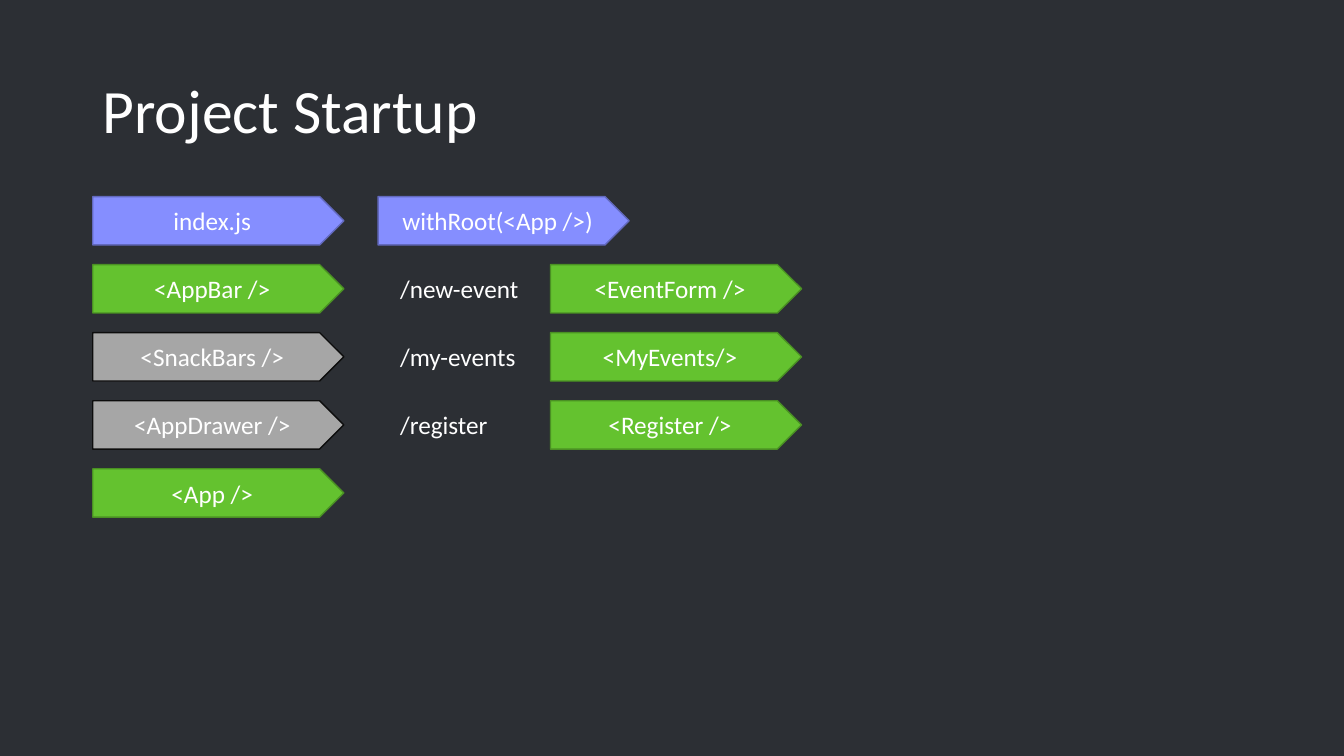
"""Build the Project Startup slide: component tags and the routes that open them."""
from dataclasses import dataclass

from pptx import Presentation
from pptx.dml.color import RGBColor
from pptx.enum.shapes import MSO_SHAPE as Shape
from pptx.enum.text import MSO_ANCHOR as Anchor, PP_ALIGN as Align
from pptx.util import Inches, Pt


@dataclass(frozen=True)
class Theme:
    background: str = "2C2F34"
    text: str = "FFFFFF"
    entry: tuple = ("858EFF", "6269BD")
    active: tuple = ("64C22F", "4A9023")
    idle: tuple = ("A6A6A6", "0D0D0D")
    font: str = "Calibri"
    title_size: int = 44
    label_size: int = 18


theme = Theme()


def write(box, text, size, align, anchor):
    frame = box.text_frame
    frame.word_wrap = True
    frame.vertical_anchor = anchor
    para = frame.paragraphs[0]
    para.alignment = align
    span = para.add_run()
    span.text = text
    span.font.color.rgb = RGBColor.from_string(theme.text)
    for name, value in {"name": theme.font, "size": Pt(size)}.items():
        setattr(span.font, name, value)
    return para


def add_tag(page, left, top, text, colors):
    fill, line = (RGBColor.from_string(color) for color in colors)
    tag = page.shapes.add_shape(
        Shape.PENTAGON, Inches(left), Inches(top), Inches(2.49), Inches(0.48))
    tag.shadow.inherit = False
    tag.fill.solid()
    tag.fill.fore_color.rgb = fill
    tag.line.color.rgb = line
    tag.line.width = Pt(1)
    write(tag, text, theme.label_size, Align.CENTER, Anchor.MIDDLE)


deck = Presentation()
deck.slide_width, deck.slide_height = Inches(13.33), Inches(7.5)
page = deck.slides.add_slide(deck.slide_layouts[6])
page.background.fill.solid()
page.background.fill.fore_color.rgb = RGBColor.from_string(theme.background)

title = page.shapes.add_textbox(Inches(0.92), Inches(0.4), Inches(11.5), Inches(1.45))
heading = write(title, "Project Startup", theme.title_size, Align.LEFT, Anchor.MIDDLE)
heading.line_spacing = 0.9

first_column, root_column, route_column, view_column = 0.92, 3.75, 3.87, 5.46
first_row, last_row = 1.95, 4.65
components = [
    ("index.js", theme.entry, None, None),
    ("<AppBar />", theme.active, "/new-event", "<EventForm />"),
    ("<SnackBars />", theme.idle, "/my-events", "<MyEvents/>"),
    ("<AppDrawer />", theme.idle, "/register", "<Register />"),
    ("<App />", theme.active, None, None),
]
pitch = (last_row - first_row) / (len(components) - 1)

add_tag(page, root_column, first_row, "withRoot(<App />)", theme.entry)
for row, (component, colors, route, view) in enumerate(components):
    top = first_row + row * pitch
    add_tag(page, first_column, top, component, colors)
    if route:
        box = page.shapes.add_textbox(
            Inches(route_column), Inches(top + 0.04), Inches(1.47), Inches(0.4))
        write(box, route, theme.label_size, Align.LEFT, Anchor.TOP)
        add_tag(page, view_column, top, view, theme.active)

deck.save("out.pptx")
